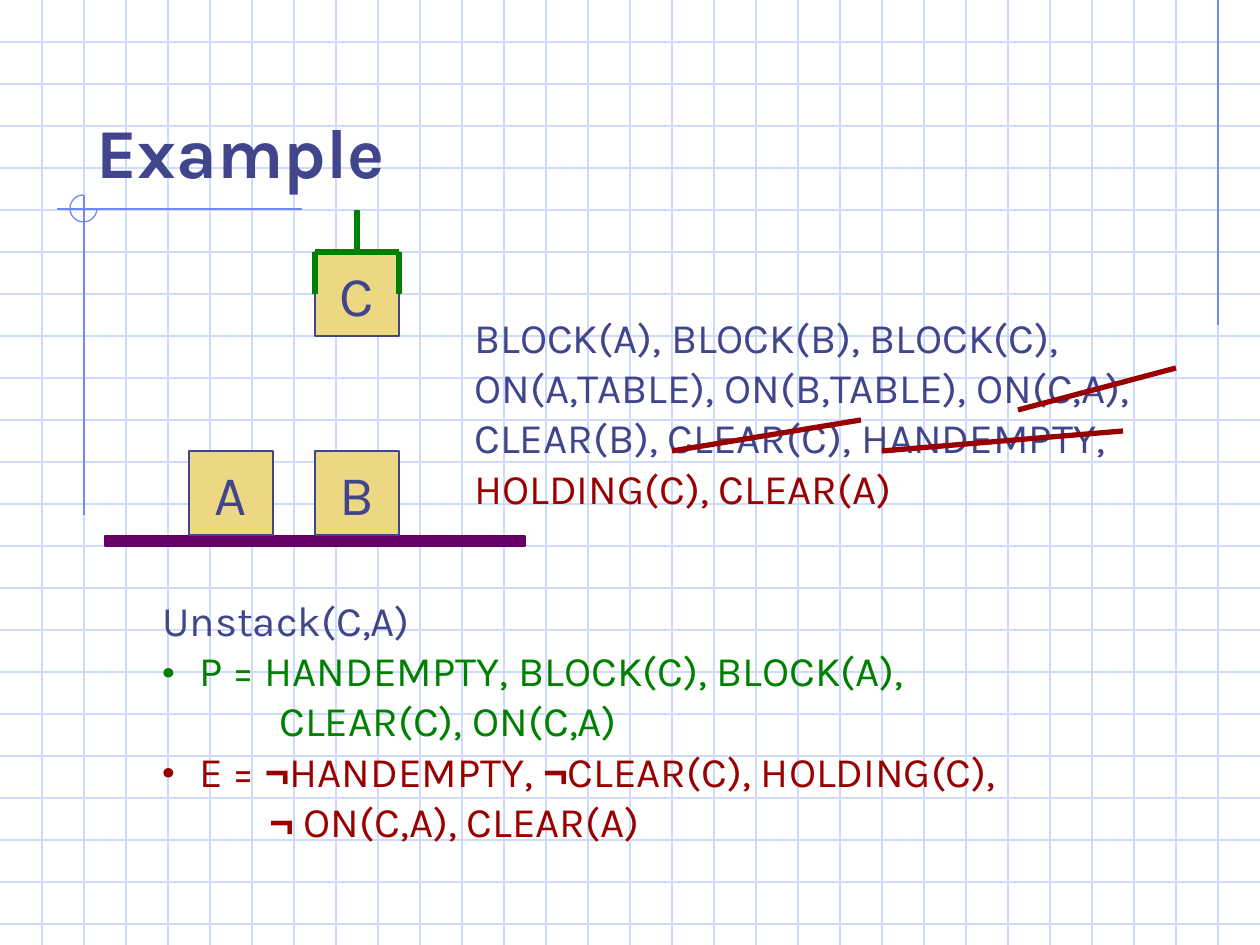
from lxml.etree import SubElement
from pptx import Presentation
from pptx.dml.color import RGBColor
from pptx.enum.shapes import MSO_CONNECTOR, MSO_SHAPE
from pptx.enum.text import MSO_ANCHOR, PP_ALIGN
from pptx.oxml.ns import qn
from pptx.util import Emu, Pt

PX = 914400 // 126
WIDTH, HEIGHT, CELL = 1260, 945, 42

INK = RGBColor(0x40, 0x45, 0x8C)
GRID = RGBColor(0xCF, 0xDB, 0xFD)
ACCENT = RGBColor(0x6F, 0x89, 0xF7)
SAND = RGBColor(0xEC, 0xD8, 0x82)
PURPLE = RGBColor(0x66, 0x00, 0x66)
GREEN = RGBColor(0x00, 0x80, 0x00)
RED = RGBColor(0x99, 0x00, 0x00)

FONT, SYMBOL_FONT = "Karla", "Arial"
NOT = "¬"

# Lines as (x1, y1, x2, y2), in px
ACCENT_LINES = [(1218, 0, 1218, 325), (302, 209, 57, 209), (84, 195, 84, 515)]
STRIKES = [(882, 451, 1123, 431), (672, 451, 861, 420), (1018, 410, 1176, 368)]

BLOCK = 84
BLOCKS = {"A": (189, 451), "B": (315, 451), "C": (315, 252)}

# Paragraphs as (text, colour, left margin, bullet)
STATE = [
    ("BLOCK(A), BLOCK(B), BLOCK(C),", INK, 0, False),
    ("ON(A,TABLE), ON(B,TABLE), ON(C,A),", INK, 0, False),
    ("CLEAR(B), CLEAR(C), HANDEMPTY,", INK, 0, False),
    ("HOLDING(C), CLEAR(A)", RED, 0, False),
]
ACTION = [
    ("Unstack(C,A)", INK, 0, False),
    ("P = HANDEMPTY, BLOCK(C), BLOCK(A),", GREEN, 37, True),
    ("CLEAR(C), ON(C,A)", GREEN, 117, False),
    ("E = ¬HANDEMPTY, ¬CLEAR(C), HOLDING(C),", RED, 37, True),
    ("¬ ON(C,A), CLEAR(A)", RED, 107, False),
]


def px(*lengths):
    return [Emu(length * PX) for length in lengths]


def add_line(slide, ends, color, points=0.75):
    line = slide.shapes.add_connector(MSO_CONNECTOR.STRAIGHT, *px(*ends))
    line.line.color.rgb = color
    line.line.width = Pt(points)
    SubElement(line._element.spPr, qn("a:effectLst"))
    return line


def add_preset(slide, preset, box, fill, outline):
    shape = slide.shapes.add_shape(preset, *px(*box))
    shape.shadow.inherit = False
    if fill is None:
        shape.fill.background()
    else:
        shape.fill.solid()
        shape.fill.fore_color.rgb = fill
    shape.line.color.rgb = outline
    shape.line.width = Pt(0.75)
    return shape


def add_run(paragraph, text, size, color, bold=False, font=FONT):
    run = paragraph.add_run()
    run.text = text
    run.font.size = Pt(size)
    run.font.name = font
    run.font.bold = bold
    run.font.color.rgb = color


def indent(paragraph, margin, color, bullet):
    """Set the left margin, with a hanging bullet in the given colour if asked."""
    properties = paragraph._p.get_or_add_pPr()
    properties.set("marL", str(margin * PX))
    if bullet:
        properties.set("indent", str(-margin * PX))
        bullet_color = SubElement(properties, qn("a:buClr"))
        SubElement(bullet_color, qn("a:srgbClr")).set("val", str(color))
        SubElement(properties, qn("a:buSzPct")).set("val", "110000")
        SubElement(properties, qn("a:buFont")).set("typeface", FONT)
        SubElement(properties, qn("a:buChar")).set("char", "•")


def add_statements(slide, box, statements):
    frame = slide.shapes.add_textbox(*px(*box)).text_frame
    frame.word_wrap = True
    for i, (text, color, margin, bullet) in enumerate(statements):
        paragraph = frame.add_paragraph() if i else frame.paragraphs[0]
        indent(paragraph, margin, color, bullet)
        for j, part in enumerate(text.split(NOT)):
            if j:
                add_run(paragraph, NOT, 24, color, True, SYMBOL_FONT)
            if part:
                add_run(paragraph, part, 24, color)


def draw_background(slide):
    for y in range(CELL, HEIGHT, CELL):
        add_line(slide, (0, y, WIDTH, y), GRID)
    for x in range(CELL, WIDTH, CELL):
        add_line(slide, (x, 0, x, HEIGHT), GRID)
    for ends in ACCENT_LINES:
        add_line(slide, ends, ACCENT)
    corner = add_preset(slide, MSO_SHAPE.ARC, (70, 195, 27, 27), None, ACCENT)
    corner.adjustments[0] = 0
    corner.adjustments[1] = 162  # 270 degrees, in units of 1/0.6 degree


def draw_title(slide):
    title = slide.shapes.title
    slide.shapes._spTree.append(title._element)  # in front of the grid
    title.left, title.top, title.width, title.height = px(84, 42, 1071, 157)
    title.text_frame.vertical_anchor = MSO_ANCHOR.BOTTOM
    paragraph = title.text_frame.paragraphs[0]
    paragraph.alignment = PP_ALIGN.LEFT
    add_run(paragraph, "Example", 40, INK, bold=True)


def draw_blocks(slide):
    add_preset(slide, MSO_SHAPE.RECTANGLE, (105, 536, 420, 10), PURPLE, PURPLE)
    blocks = {}
    for label, (x, y) in BLOCKS.items():
        block = add_preset(slide, MSO_SHAPE.RECTANGLE, (x, y, BLOCK, BLOCK), SAND, INK)
        frame = block.text_frame
        frame.word_wrap = False
        frame.vertical_anchor = MSO_ANCHOR.MIDDLE
        frame.paragraphs[0].alignment = PP_ALIGN.CENTER
        add_run(frame.paragraphs[0], label, 32, INK)
        blocks[label] = block
    return blocks


def draw_gripper(slide, held, left, top):
    right, middle = left + BLOCK, left + BLOCK // 2
    add_line(slide, (left, top, right, top), GREEN, 3)
    for x in (left, right):
        add_line(slide, (x, top, x, top + CELL), GREEN, 3)
    stem = add_line(slide, (middle, top - CELL, middle, top), GREEN, 3)
    stem.end_connect(held, 0)


def main():
    deck = Presentation()
    deck.slide_width, deck.slide_height = px(WIDTH, HEIGHT)
    slide = deck.slides.add_slide(deck.slide_layouts[5])
    draw_background(slide)
    draw_title(slide)
    blocks = draw_blocks(slide)
    draw_gripper(slide, blocks["C"], *BLOCKS["C"])
    add_statements(slide, (462, 305, 749, 214), STATE)
    add_statements(slide, (150, 588, 908, 265), ACTION)
    for ends in STRIKES:
        add_line(slide, ends, RED, 3)
    deck.save("out.pptx")


if __name__ == "__main__":
    main()
